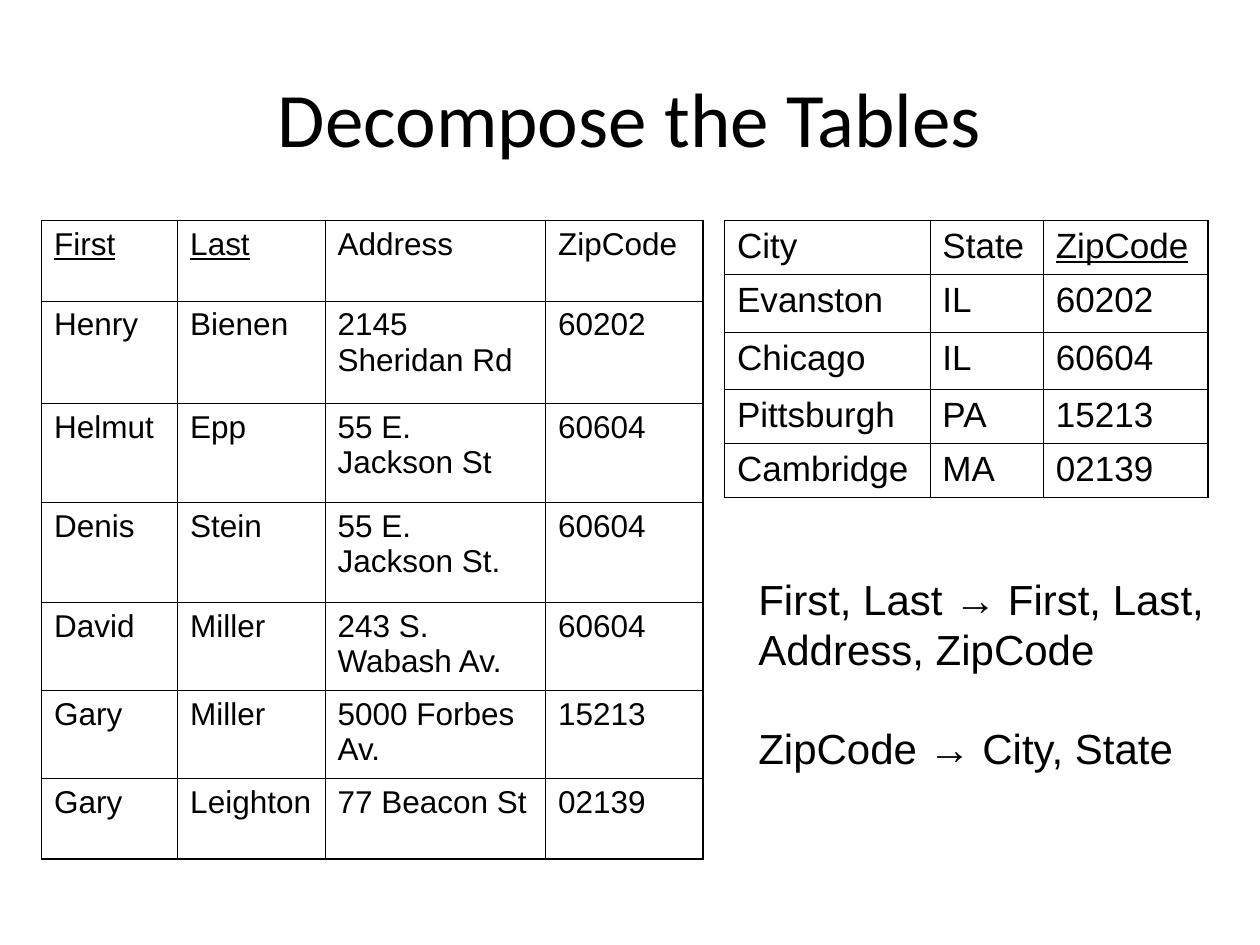
"""Build a slide that decomposes a people table into people and zip code tables."""
from lxml import etree
from pptx import Presentation
from pptx.dml.color import RGBColor
from pptx.enum.text import MSO_ANCHOR, MSO_AUTO_SIZE, PP_ALIGN
from pptx.oxml.ns import qn
from pptx.util import Inches, Pt

CENTER = PP_ALIGN.CENTER
MIDDLE = MSO_ANCHOR.MIDDLE
GROW = MSO_AUTO_SIZE.SHAPE_TO_FIT_TEXT
BLACK = RGBColor(0x00, 0x00, 0x00)
OUTER, INNER = Pt(1.08), Pt(0.45)

TITLE = "Decompose the Tables"
ZIP_CODES = {
    "at": (5.75, 1.75),
    "size": 20,
    "keys": {"ZipCode"},
    "columns": [1.63, 0.9, 1.31],
    "heights": [0.43, 0.46, 0.45, 0.43, 0.43],
    "rows": [
        ("City", "State", "ZipCode"),
        ("Evanston", "IL", "60202"),
        ("Chicago", "IL", "60604"),
        ("Pittsburgh", "PA", "15213"),
        ("Cambridge", "MA", "02139"),
    ],
}
PEOPLE = {
    "at": (0.33, 1.75),
    "size": 18,
    "keys": {"First", "Last"},
    "columns": [1.08, 1.17, 1.75, 1.25],
    "heights": [0.64, 0.81, 0.79, 0.79, 0.7, 0.7, 0.64],
    "rows": [
        ("First", "Last", "Address", "ZipCode"),
        ("Henry", "Bienen", "2145 Sheridan Rd", "60202"),
        ("Helmut", "Epp", "55 E. Jackson St", "60604"),
        ("Denis", "Stein", "55 E. Jackson St.", "60604"),
        ("David", "Miller", "243 S. Wabash Av.", "60604"),
        ("Gary", "Miller", "5000 Forbes Av.", "15213"),
        ("Gary", "Leighton", "77 Beacon St", "02139"),
    ],
}
DEPENDENCIES = [
    "First, Last → First, Last, Address, ZipCode",
    "ZipCode → City, State",
]


def add_run(paragraph, text, size, font="Arial", underline=None):
    run = paragraph.add_run()
    run.text = text
    run.font.name = font
    run.font.size = Pt(size)
    run.font.underline = underline
    run.font.color.rgb = BLACK


def set_borders(cell, widths):
    properties = cell._tc.get_or_add_tcPr()
    for side, width in widths.items():
        line = etree.SubElement(properties, qn(f"a:ln{side}"), w=str(width))
        fill = etree.SubElement(line, qn("a:solidFill"))
        etree.SubElement(fill, qn("a:srgbClr"), val=str(BLACK))


def add_relation(slide, relation):
    rows, columns, heights = (relation[key] for key in ("rows", "columns", "heights"))
    left, top = relation["at"]
    table = slide.shapes.add_table(
        len(rows), len(columns), Inches(left), Inches(top),
        Inches(sum(columns)), Inches(sum(heights))).table
    table.first_row = table.horz_banding = False
    for column, width in zip(table.columns, columns):
        column.width = Inches(width)
    for row, height in zip(table.rows, heights):
        row.height = Inches(height)
    for r, values in enumerate(rows):
        for c, value in enumerate(values):
            cell = table.cell(r, c)
            set_borders(cell, {
                "L": OUTER if c == 0 else INNER,
                "R": OUTER if c == len(columns) - 1 else INNER,
                "T": OUTER if r == 0 else INNER,
                "B": OUTER if r == len(rows) - 1 else INNER,
            })
            cell.fill.background()
            is_key = r == 0 and value in relation["keys"]
            add_run(cell.text_frame.paragraphs[0], value, relation["size"],
                    underline=is_key or None)


def add_title(slide):
    title = slide.shapes.title
    title.left, title.top = Inches(0.5), Inches(0.3)
    title.width, title.height = Inches(9), Inches(1.25)
    title.text_frame.vertical_anchor = MIDDLE
    heading = title.text_frame.paragraphs[0]
    heading.alignment = CENTER
    add_run(heading, TITLE, 44, "Calibri")


def add_dependencies(slide):
    frame = slide.shapes.add_textbox(
        Inches(5.92), Inches(4.5), Inches(3.75), Inches(1.7)).text_frame
    frame.word_wrap = True
    frame.auto_size = GROW
    for i, dependency in enumerate(DEPENDENCIES):
        paragraph = frame.add_paragraph() if i else frame.paragraphs[0]
        if i:
            paragraph.space_before = Pt(27.6)
        add_run(paragraph, dependency, 24)


def main():
    deck = Presentation()
    deck.slide_width, deck.slide_height = Inches(10), Inches(7.5)
    slide = deck.slides.add_slide(deck.slide_layouts.get_by_name("Title Only"))
    add_title(slide)
    for relation in (ZIP_CODES, PEOPLE):
        add_relation(slide, relation)
    add_dependencies(slide)
    deck.save("out.pptx")


if __name__ == "__main__":
    main()
